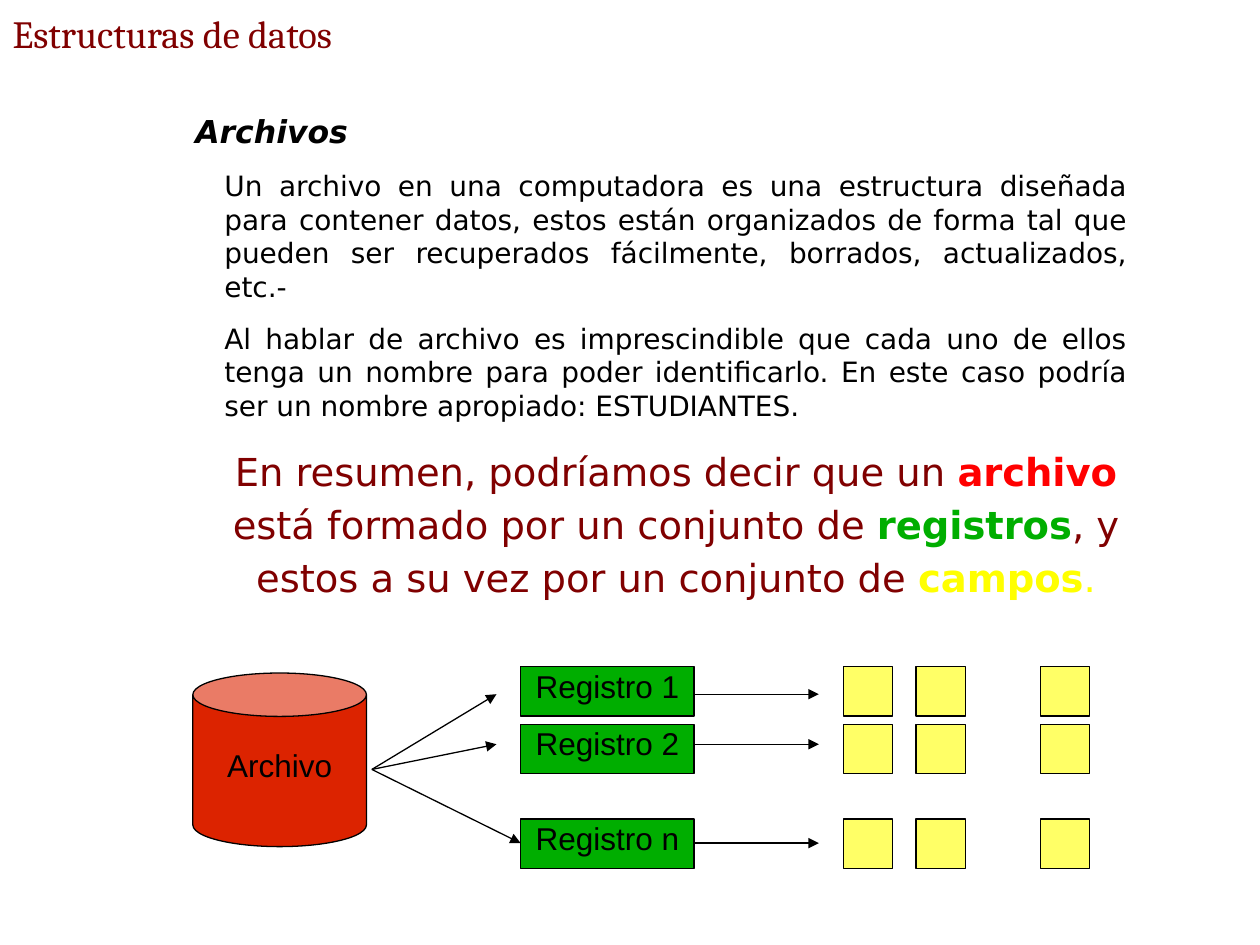
from lxml.etree import SubElement
from pptx import Presentation
from pptx.dml.color import RGBColor
from pptx.enum.shapes import MSO_CONNECTOR as Link, MSO_SHAPE as Shape
from pptx.enum.text import MSO_ANCHOR as Anchor, MSO_AUTO_SIZE as AutoSize, PP_ALIGN as Align
from pptx.oxml.ns import qn
from pptx.util import Pt

COLORS = {
    "ink": "000000",
    "maroon": "800000",
    "file": "DC2300",
    "record": "00AE00",
    "field": "FFFF66",
    "red": "FF0000",
    "yellow": "FFFF00",
}


def color(name):
    return RGBColor.from_string(COLORS[name])


def add_span(para, text, font, size, ink="ink", bold=False, italic=False):
    span = para.add_run()
    span.text = text
    span.font.name = font
    span.font.size = Pt(size)
    span.font.bold = bold
    span.font.italic = italic
    span.font.color.rgb = color(ink)


def place(shape, left, top, width, height):
    shape.left, shape.top = Pt(left), Pt(top)
    shape.width, shape.height = Pt(width), Pt(height)


def fill_title(title, left, top, width, height):
    place(title, left, top, width, height)
    frame = title.text_frame
    frame.auto_size = AutoSize.NONE
    frame.vertical_anchor = Anchor.MIDDLE
    para = frame.paragraphs[0]
    para.alignment = Align.LEFT
    add_span(para, "Estructuras de datos", "Cambria", 22, "maroon")


def fill_body(body, left, top, width, height):
    place(body, left, top, width, height)
    frame = body.text_frame
    frame.auto_size = AutoSize.NONE
    frame.vertical_anchor = Anchor.TOP
    font = "DejaVu Sans"

    def next_para(align, indent=0):
        para = frame.paragraphs[0]
        if para.runs:
            para = frame.add_paragraph()
        para.alignment = align
        para.space_before = Pt(0)
        para.space_after = Pt(10.6)
        props = para._p.get_or_add_pPr()
        props.set("marL", str(Pt(50.4)))
        props.set("indent", str(Pt(indent)))
        return para

    # Heading
    add_span(next_para(Align.LEFT, -16.6), "Archivos", font, 18, bold=True, italic=True)

    # Explanation
    for text in (
        "Un archivo en una computadora es una estructura diseñada para contener datos, "
        "estos están organizados de forma tal que pueden ser recuperados fácilmente, "
        "borrados, actualizados, etc.-",
        "Al hablar de archivo es imprescindible que cada uno de ellos tenga un nombre "
        "para poder identificarlo. En este caso podría ser un nombre apropiado: ESTUDIANTES.",
    ):
        add_span(next_para(Align.JUSTIFY), text, font, 16)

    # Summary with coloured key words
    summary = next_para(Align.CENTER)
    summary.line_spacing = 1.15
    for text, ink, bold in (
        ("En resumen, podríamos decir que un ", "maroon", False),
        ("archivo", "red", True),
        (" está formado por un conjunto de ", "maroon", False),
        ("registros", "record", True),
        (", y estos a su vez por un conjunto de ", "maroon", False),
        ("campos", "yellow", True),
        (".", "yellow", False),
    ):
        add_span(summary, text, font, 22, ink, bold)


def add_block(page, kind, left, top, width, height, fill, label=None):
    block = page.shapes.add_shape(kind, Pt(left), Pt(top), Pt(width), Pt(height))
    block.shadow.inherit = False
    block.fill.solid()
    block.fill.fore_color.rgb = color(fill)
    block.line.color.rgb = color("ink")
    block.line.width = Pt(0.75)
    if label:
        frame = block.text_frame
        frame.word_wrap = False
        frame.vertical_anchor = Anchor.MIDDLE
        para = frame.paragraphs[0]
        para.alignment = Align.CENTER
        para.line_spacing = 0.58
        add_span(para, label, "Arial", 18)
    return block


def add_arrow(page, x1, y1, x2, y2):
    arrow = page.shapes.add_connector(Link.STRAIGHT, Pt(x1), Pt(y1), Pt(x2), Pt(y2))
    arrow.line.color.rgb = color("ink")
    arrow.line.width = Pt(0.75)
    SubElement(arrow.line._get_or_add_ln(), qn("a:tailEnd"), type="triangle")
    SubElement(arrow._element.spPr, qn("a:effectLst"))


def draw_diagram(page, left, top):
    side, wide = 28.2, 99.2
    record_left = left + 187.3

    # File
    can = add_block(page, Shape.CAN, left, top + 3.6, wide, wide, "file", "Archivo")
    can.adjustments[0] = 0.25

    # Records, each with its fields: label, top, arrow height, end of the file's arrow
    for label, row, middle, reach in (
        ("Registro 1", 0, 15.7, 173.5),
        ("Registro 2", 33, 44.3, 173.5),
        ("Registro n", 87, 100.8, 187.3),
    ):
        add_block(page, Shape.RECTANGLE, record_left, top + row, wide, side, "record", label)
        add_arrow(page, left + 102.3, top + 58.7, left + reach, top + middle)
        add_arrow(page, record_left + wide, top + middle, left + 357.7, top + middle)
        for offset in (371.6, 413.2, 484.3):
            add_block(page, Shape.RECTANGLE, left + offset, top + row, side, side, "field")


def main():
    deck = Presentation()
    deck.slide_width, deck.slide_height = Pt(720), Pt(540)
    page = deck.slides.add_slide(deck.slide_layouts[0])
    fill_title(page.shapes.title, 0, 0, 720, 37.5)
    fill_body(page.placeholders[1], 70.6, 60.5, 581, 270.7)
    draw_diagram(page, 110.2, 381)
    deck.save("out.pptx")


if __name__ == "__main__":
    main()
